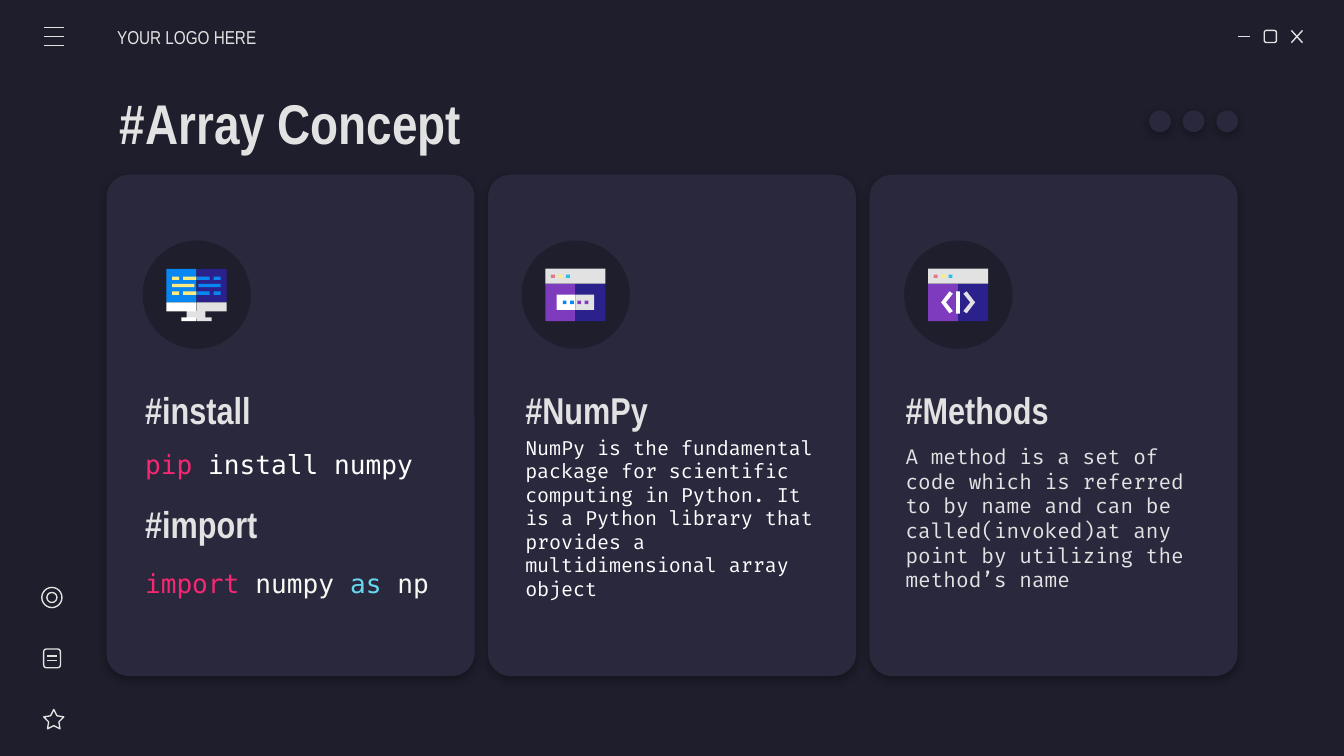
from lxml.etree import SubElement
from pptx import Presentation
from pptx.dml.color import RGBColor
from pptx.enum.shapes import MSO_CONNECTOR, MSO_SHAPE as Preset
from pptx.enum.text import MSO_ANCHOR, MSO_AUTO_SIZE, PP_ALIGN
from pptx.oxml.ns import qn
from pptx.util import Pt

NIGHT, PANEL, LIGHT, WHITE = "1E1E2C", "29283D", "E2E2E2", "FFFFFF"
BLUE, NAVY, PURPLE, YELLOW = "0887F2", "2B218D", "7E3BBE", "FFEA7D"
PINK, CYAN, CREAM = "F92672", "66D9EF", "F8F8F2"

HEADING = {"name": "Arial Narrow", "size": Pt(20), "bold": True}
TITLE = {**HEADING, "size": Pt(30)}
LABEL = {"name": "Arial Narrow", "size": Pt(10), "bold": False}
CODE = {"name": "DejaVu Sans Mono", "size": Pt(14)}
FRAME = {
    "word_wrap": True, "auto_size": MSO_AUTO_SIZE.NONE,
    "vertical_anchor": MSO_ANCHOR.MIDDLE,
    "margin_left": Pt(7.2), "margin_right": Pt(7.2),
    "margin_top": Pt(7.2), "margin_bottom": Pt(7.2),
}


def prose(size):
    return {"name": "Fira Code", "size": Pt(size)}


def apply(target, formats):
    for name, value in formats.items():
        setattr(target, name, value)


def ink(fill, color):
    fill.solid()
    fill.fore_color.rgb = RGBColor.from_string(color)


def points(box):
    return [Pt(value) for value in box]


def add_preset(page, preset, box, fill=None, line=None, adjust=None):
    shape = page.shapes.add_shape(preset, *points(box))
    shape.shadow.inherit = False
    if adjust is not None:
        shape.adjustments[0] = adjust
    if fill:
        ink(shape.fill, fill)
    else:
        shape.fill.background()
    if line:
        ink(shape.line.fill, line)
        shape.line.width = Pt(0.75)
    else:
        shape.line.fill.background()
    return shape


def add_shadow(shape):
    effects = shape._element.spPr.find(qn("a:effectLst"))
    shadow = SubElement(effects, qn("a:outerShdw"), blurRad=str(Pt(4.5)),
                        dist=str(Pt(1.5)), dir="5400000", algn="bl", rotWithShape="0")
    color = SubElement(shadow, qn("a:srgbClr"), val="000000")
    SubElement(color, qn("a:alpha"), val="30000")


def add_line(page, *ends):
    line = page.shapes.add_connector(MSO_CONNECTOR.STRAIGHT, *points(ends))
    ink(line.line.fill, LIGHT)
    line.line.width = Pt(0.75)
    SubElement(line._element.spPr, qn("a:effectLst"))


def write(shape, spans, font, **frame):
    apply(shape.text_frame, {**FRAME, **frame})
    para = shape.text_frame.paragraphs[0]
    para.alignment = PP_ALIGN.LEFT
    for text, color in spans:
        span = para.add_run()
        span.text = text
        apply(span.font, font)
        ink(span.font.fill, color)


def add_text(page, box, spans, font, **frame):
    write(page.shapes.add_textbox(*points(box)), spans, font, **frame)


def add_blocks(page, left, top, blocks):
    for x, y, width, height, color in blocks:
        add_preset(page, Preset.RECTANGLE, (left + x, top + y, width, height), color)


def add_polygon(page, left, top, corners, color):
    first, *rest = [(Pt(left + x), Pt(top + y)) for x, y in corners]
    builder = page.shapes.build_freeform(*first, scale=1.0)
    builder.add_line_segments(rest, close=True)
    shape = builder.convert_to_shape()
    shape.shadow.inherit = False
    ink(shape.fill, color)
    shape.line.fill.background()


def monitor_icon(page, left, top):
    blocks = [
        (0, 0, 16.1, 18, BLUE), (16.1, 0, 16.1, 18, NAVY),
        (10.8, 22.7, 10.1, 4, LIGHT),
        (0, 18, 16.1, 4.9, WHITE), (16.1, 18, 16.1, 4.9, LIGHT),
        (8, 26, 8.1, 2.1, WHITE), (16.1, 26, 8.1, 2.1, LIGHT),
        (3, 8.1, 12, 1.8, YELLOW), (17, 8.1, 12, 1.8, BLUE),
    ]
    for y in (4.2, 12.2):
        blocks += [(3, y, 3.8, 1.8, YELLOW), (9, y, 7.1, 1.8, YELLOW),
                   (16.1, y, 7.1, 1.8, BLUE), (25.2, y, 3.8, 1.8, BLUE)]
    add_blocks(page, left, top, blocks)


def browser_window(page, left, top):
    blocks = [(0, 8, 16.1, 20.1, PURPLE), (16.1, 8, 16.1, 20.1, NAVY),
              (0, 0, 32.2, 8, LIGHT)]
    for order, color in enumerate(("E07A88", YELLOW, "24BFEB")):
        blocks.append((3 + 4 * order, 3.1, 2.1, 1.8, color))
    add_blocks(page, left, top, blocks)


def field_icon(page, left, top):
    browser_window(page, left, top)
    blocks = [(6, 13.9, 10.1, 8.2, WHITE), (16.1, 13.9, 10.1, 8.2, LIGHT)]
    for order, color in enumerate((BLUE, BLUE, PURPLE, PURPLE)):
        blocks.append((9.3 + 3.9 * order, 17, 2, 2, color))
    add_blocks(page, left, top, blocks)


def tag_icon(page, left, top):
    browser_window(page, left, top)
    chevron = [(11.5, 12.1), (7, 18), (11.5, 23.9), (13.3, 22.7), (9.6, 18), (13.3, 13.4)]
    add_polygon(page, left, top, chevron, WHITE)
    add_polygon(page, left, top, [(32.2 - x, y) for x, y in chevron], LIGHT)
    add_blocks(page, left, top, [(15, 12.1, 2.1, 11.9, WHITE)])


def add_card(page, box, badge_inset, text_inset, icon, texts):
    left, top, _, _ = box
    add_shadow(add_preset(page, Preset.ROUNDED_RECTANGLE, box, PANEL, adjust=0.062))
    badge = left + badge_inset
    add_preset(page, Preset.OVAL, (badge, top + 35.3, 58, 58), NIGHT)
    icon(page, badge + 12.8, top + 50.4)
    for offset, height, spans, font in texts:
        add_text(page, (left + text_inset, top + offset, 171.4, height), spans, font)


def add_header(page, left, top):
    for row in range(3):
        y = top + 4.8 * row
        add_line(page, left, y, left + 10.6, y)
    add_text(page, (62.8, 9, 84.2, 21.6), [("YOUR LOGO HERE", LIGHT)], LABEL, margin_left=0)


def add_window_buttons(page, left, top):
    add_line(page, left, top + 3.3, left + 6.6, top + 3.3)
    add_preset(page, Preset.ROUNDED_RECTANGLE, (left + 14.3, top, 6.5, 6.5), line=LIGHT)
    add_line(page, left + 28.8, top, left + 34.8, top + 6.6)
    add_line(page, left + 34.8, top, left + 28.8, top + 6.6)


def add_sidebar(page, left, top):
    add_preset(page, Preset.OVAL, (left, top, 10.8, 10.8), line=LIGHT)
    add_preset(page, Preset.OVAL, (left + 2.7, top + 2.7, 5.4, 5.4), line=LIGHT)
    add_preset(page, Preset.ROUNDED_RECTANGLE, (left + 1, top + 33, 9, 10.1), line=LIGHT)
    for y in (top + 36.7, top + 39.3):
        add_line(page, left + 2.9, y, left + 8.1, y)
    add_preset(page, Preset.STAR_5_POINT, (left + 1, top + 65.4, 10.8, 10.4),
               line=LIGHT, adjust=0.254)


def add_title(page, box):
    title = page.shapes.title
    apply(title, dict(zip(("left", "top", "width", "height"), points(box))))
    write(title, [("#Array Concept", LIGHT)], TITLE)


def add_dots(page, left, top):
    for order in range(3):
        add_shadow(add_preset(page, Preset.OVAL, (left + 18 * order, top, 11.6, 11.6), PANEL))


CARDS = [
    (19.4, 13.6, monitor_icon, [
        (107.3, 36.7, [("#install", LIGHT)], HEADING),
        (140.4, 29.5, [("pip ", PINK), ("install numpy", WHITE)], CODE),
        (168.5, 36.7, [("#import", LIGHT)], HEADING),
        (203.8, 29.5, [("import ", PINK), ("numpy ", CREAM), ("as", CYAN), (" np", CREAM)], CODE),
    ]),
    (18, 12.9, field_icon, [
        (107.3, 36.7, [("#NumPy", LIGHT)], HEADING),
        (144.7, 78.5, [("NumPy is the fundamental package for scientific computing in Python. "
                        "It is a Python library that provides a multidimensional array object",
                        WHITE)], prose(10.5)),
    ]),
    (18.6, 12.2, tag_icon, [
        (107.3, 36.7, [("#Methods", LIGHT)], HEADING),
        (144.7, 78.5, [("A method is a set of code which is referred to by name and can be "
                        "called(invoked)at any point by utilizing the method’s name",
                        LIGHT)], prose(11)),
    ]),
]


def main():
    deck = Presentation()
    deck.slide_width, deck.slide_height = Pt(720), Pt(405)
    page = deck.slides.add_slide(deck.slide_layouts[5])
    ink(page.background.fill, NIGHT)
    add_header(page, 23.5, 14.8)
    add_window_buttons(page, 663, 16.3)
    add_title(page, (57, 42.5, 358, 45.4))
    add_dots(page, 615.6, 59.2)
    for order, card in enumerate(CARDS):
        add_card(page, (57 + 204.4 * order, 93.6, 197.2, 268.6), *card)
    add_sidebar(page, 22.4, 314.7)
    deck.save("out.pptx")


if __name__ == "__main__":
    main()
